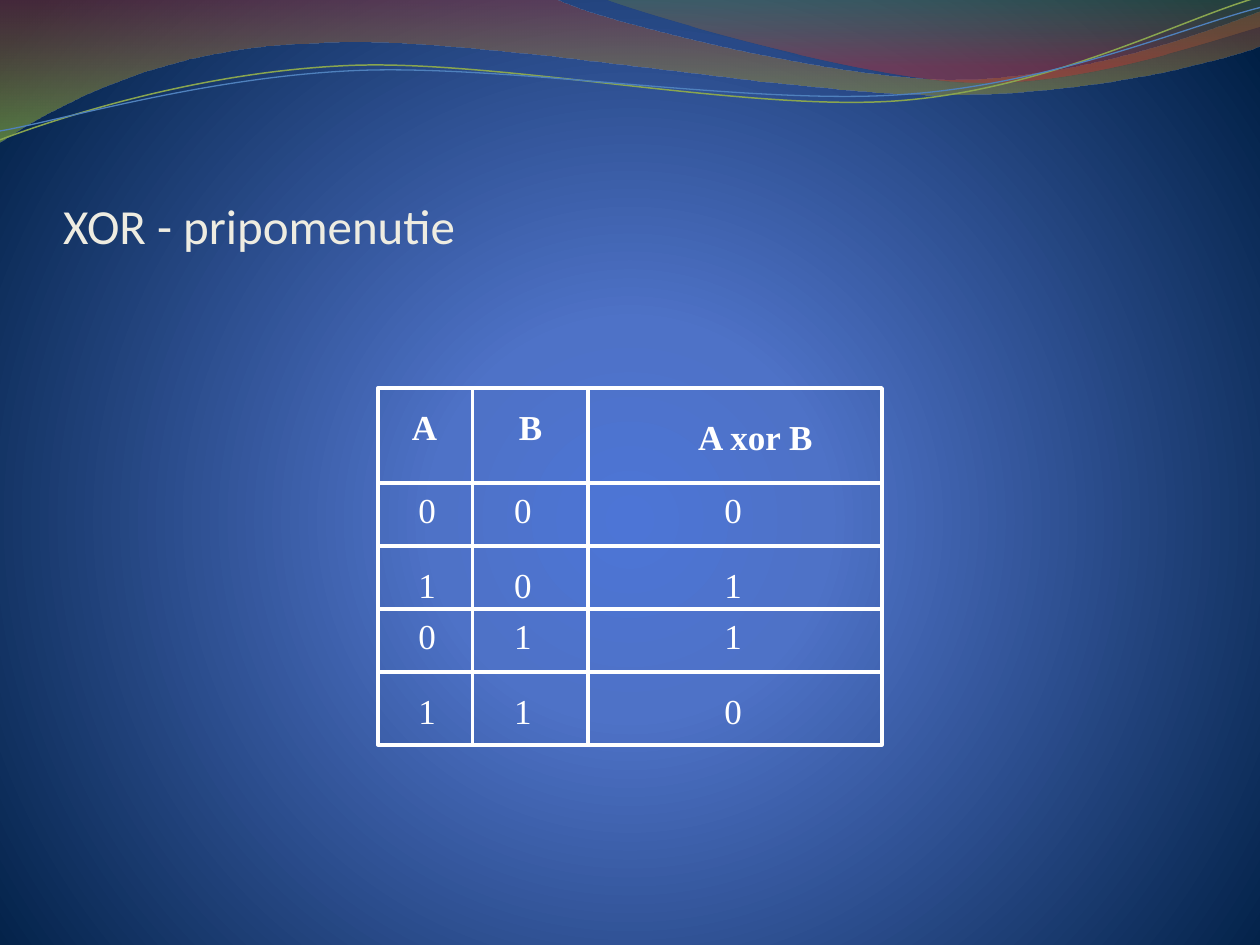
from dataclasses import dataclass
from math import cos, radians, sin

from lxml.etree import SubElement
from pptx import Presentation
from pptx.dml.color import RGBColor
from pptx.enum.shapes import MSO_CONNECTOR, MSO_SHAPE
from pptx.enum.text import MSO_ANCHOR, MSO_AUTO_SIZE, PP_ALIGN
from pptx.oxml import parse_xml
from pptx.oxml.ns import nsdecls, qn
from pptx.util import Inches, Pt


@dataclass(frozen=True)
class Theme:
    title_color: str = "EEECE1"
    grid_color: str = "FFFFFF"
    green_line: str = "89A54F"
    blue_line: str = "4F81BD"
    backdrop: tuple = ((0, "4D75D6", 100), (25, "4E72C7", 100), (100, "001F44", 100))
    wide_wave: tuple = ((0, "973330", 45), (100, "95C238", 55))
    right_wave: tuple = ((0, "769537", 30), (80, "BE3330", 45))
    title_font: str = "Calibri"
    table_font: str = "Times New Roman"
    title_size: float = 28
    table_size: float = 20
    grid_width: float = 2.25


THEME = Theme()

WIDE_WAVE = [
    (0, 0), (4.4, -0.01),
    (4.76, 0.17, 6.64, 0.63, 7.58, 0.63), (8.53, 0.63, 9.58, 0.26, 10, 0.09),
    (10.01, 0.36),
    (9.83, 0.44, 8.7, 0.76, 7.46, 0.75), (6.22, 0.75, 3.82, 0.28, 2.57, 0.34),
    (1.29, 0.36, 0.46, 0.83, -0.01, 1.13),
]
RIGHT_WAVE = [
    (4.79, -0.01),
    (5.09, 0.11, 6.82, 0.62, 7.69, 0.65), (8.56, 0.69, 9.61, 0.32, 10, 0.21),
    (10, 0),
]
GREEN_CURVE = [
    (0, 1.11), (0.48, 0.93, 1.58, 0.57, 2.77, 0.52),
    (3.95, 0.47, 5.93, 0.89, 7.13, 0.8), (8.33, 0.71, 9.38, 0.15, 9.98, -0.02),
]
BLUE_CURVE = [
    (0, 1.04), (0.47, 0.96, 1.64, 0.61, 2.83, 0.56),
    (4.03, 0.51, 5.97, 0.84, 7.17, 0.75), (8.36, 0.67, 9.41, 0.21, 10, 0.06),
]
RIBBON_TILT = -2.7

ROW_LINES = (0.75, 1.25, 1.75, 2.25)
COLUMN_LINES = (0.75, 1.67)
HEADINGS = (("A", 0.08, 0.09, 0.58), ("B", 0.92, 0.09, 0.58), ("A xor B", 2.33, 0.17, 1.33))
TRUTH_ROWS = ((0.75, "000"), (1.34, "101"), (1.75, "011"), (2.34, "110"))
DIGIT_TABS = (0.76, 2.43)


def gradient(stops, direction):
    stop_list = "".join(
        f'<a:gs pos="{pos * 1000}"><a:srgbClr val="{color}">'
        f'<a:alpha val="{alpha * 1000}"/></a:srgbClr></a:gs>'
        for pos, color, alpha in stops
    )
    return parse_xml(
        f'<a:gradFill {nsdecls("a")} rotWithShape="1">'
        f"<a:gsLst>{stop_list}</a:gsLst>{direction}</a:gradFill>"
    )


def replace_solid_fill(properties, new_fill):
    properties.replace(properties.find(qn("a:solidFill")), new_fill)


def turn(segments, pivot, degrees):
    cosine, sine = cos(radians(degrees)), sin(radians(degrees))
    turned = []
    for segment in segments:
        points = []
        for x, y in zip(segment[::2], segment[1::2]):
            dx, dy = x - pivot[0], y - pivot[1]
            points += [pivot[0] + dx * cosine - dy * sine,
                       pivot[1] + dx * sine + dy * cosine]
        turned.append(tuple(points))
    return turned


def add_curve(shapes, box, segments, close):
    left, top = box[:2]
    placed = [
        [(left + Inches(x), top + Inches(y)) for x, y in zip(segment[::2], segment[1::2])]
        for segment in segments
    ]
    anchors = [points[-1] for points in placed]
    builder = shapes.build_freeform(*anchors[0])
    builder.add_line_segments(anchors[1:], close=close)
    curve = builder.convert_to_shape()
    curve.shadow.inherit = False
    for step, points in zip(list(curve.element.iter(qn("a:lnTo"))), placed[1:]):
        if len(points) == 3:
            step.tag = qn("a:cubicBezTo")
            step.remove(step[0])
            for x, y in points:
                SubElement(step, qn("a:pt"), x=str(x - curve.left), y=str(y - curve.top))
    return curve


def add_backdrop(slide):
    slide.background.fill.solid()
    replace_solid_fill(
        slide.element.find(".//" + qn("p:bgPr")),
        gradient(THEME.backdrop, '<a:path path="circle"><a:fillToRect l="10000" '
                 't="110000" r="10000" b="100000"/></a:path>'),
    )


def add_wave_header(slide, box):
    for segments, stops in ((WIDE_WAVE, THEME.wide_wave), (RIGHT_WAVE, THEME.right_wave)):
        wave = add_curve(slide.shapes, box, segments, True)
        wave.line.fill.background()
        wave.fill.solid()
        replace_solid_fill(wave.element.spPr, gradient(stops, '<a:lin ang="5400000"/>'))
    ribbons = slide.shapes.add_group_shape().shapes
    for segments, pivot, color, width in (
        (GREEN_CURVE, (4.99, 0.57), THEME.green_line, 0.85),
        (BLUE_CURVE, (5, 0.59), THEME.blue_line, 0.75),
    ):
        ribbon = add_curve(ribbons, box, turn(segments, pivot, -RIBBON_TILT), False)
        ribbon.rotation = RIBBON_TILT
        ribbon.fill.background()
        ribbon.line.color.rgb = RGBColor.from_string(color)
        ribbon.line.width = Pt(width)


def style_text(paragraph, font_name, size, color, bold=False):
    font = paragraph.runs[0].font
    font.name, font.size, font.bold = font_name, Pt(size), bold
    font.color.rgb = RGBColor.from_string(color)


def add_title(slide, box, wording):
    frame = slide.shapes.add_textbox(*box).text_frame
    frame.word_wrap = True
    frame.vertical_anchor = MSO_ANCHOR.BOTTOM
    frame.margin_left = frame.margin_right = frame.margin_bottom = 0
    frame.text = wording
    style_text(frame.paragraphs[0], THEME.title_font, THEME.title_size, THEME.title_color)


def style_grid_line(line):
    line.color.rgb = RGBColor.from_string(THEME.grid_color)
    line.width = Pt(THEME.grid_width)


def add_rule(shapes, *ends):
    rule = shapes.add_connector(MSO_CONNECTOR.STRAIGHT, *ends)
    style_grid_line(rule.line)
    SubElement(rule.element.spPr, qn("a:effectLst"))


def add_entry(shapes, box, wording, bold):
    frame = shapes.add_textbox(*box).text_frame
    frame.word_wrap = True
    frame.auto_size = MSO_AUTO_SIZE.SHAPE_TO_FIT_TEXT
    frame.text = wording
    paragraph = frame.paragraphs[0]
    style_text(paragraph, THEME.table_font, THEME.table_size, THEME.grid_color, bold)
    spacing = SubElement(paragraph._p.get_or_add_pPr(), qn("a:spcBef"))
    SubElement(spacing, qn("a:spcPct"), val="50000")
    return frame


def add_truth_table(slide, box):
    left, top, width, height = box
    shapes = slide.shapes.add_group_shape().shapes
    border = shapes.add_shape(MSO_SHAPE.RECTANGLE, *box)
    border.shadow.inherit = False
    border.fill.background()
    style_grid_line(border.line)
    for offset in ROW_LINES:
        y = top + Inches(offset)
        add_rule(shapes, left, y, left + width, y)
    for offset in COLUMN_LINES:
        x = left + Inches(offset)
        add_rule(shapes, x, top, x, top + height)
    for wording, x, y, span in HEADINGS:
        place = (left + Inches(x), top + Inches(y), Inches(span), Inches(0.43))
        add_entry(shapes, place, wording, True).paragraphs[0].alignment = PP_ALIGN.CENTER
    for y, digits in TRUTH_ROWS:
        place = (left + Inches(0.08), top + Inches(y), Inches(3.83), Inches(0.43))
        frame = add_entry(shapes, place, "\t".join(digits), False)
        frame.margin_left = Inches(0.24)
        tabs = SubElement(frame.paragraphs[0]._p.get_or_add_pPr(), qn("a:tabLst"))
        for position in DIGIT_TABS:
            SubElement(tabs, qn("a:tab"), pos=str(Inches(position)), algn="l")


def main():
    presentation = Presentation()
    presentation.slide_width, presentation.slide_height = Inches(10), Inches(7.5)
    slide = presentation.slides.add_slide(presentation.slide_layouts[6])
    add_backdrop(slide)
    add_wave_header(slide, (0, 0, Inches(10), Inches(1.14)))
    add_title(slide, (Inches(0.5), Inches(0.77), Inches(9.08), Inches(1.25)),
              "XOR - pripomenutie")
    add_truth_table(slide, (Inches(3), Inches(3.08), Inches(4), Inches(2.83)))
    presentation.save("out.pptx")


if __name__ == "__main__":
    main()
